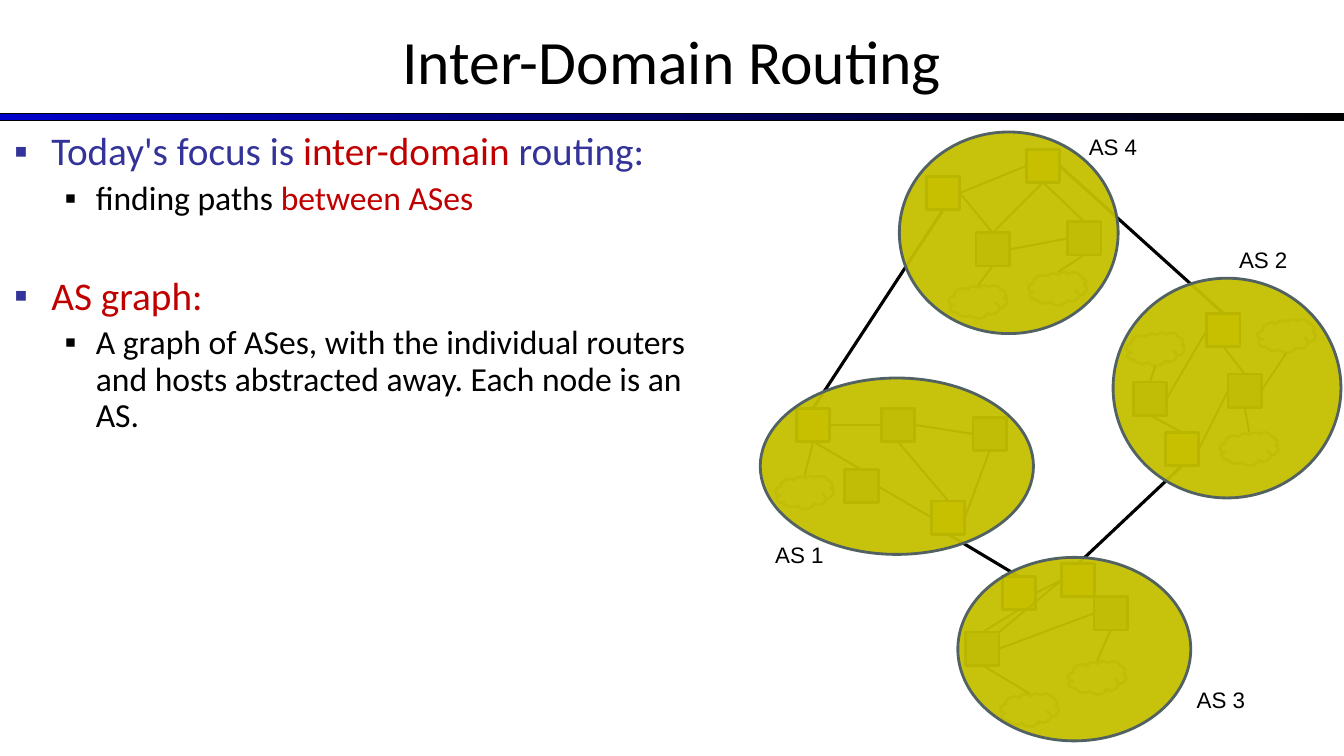
from lxml import etree
from pptx import Presentation
from pptx.dml.color import RGBColor
from pptx.enum.shapes import MSO_CONNECTOR, MSO_SHAPE
from pptx.enum.text import MSO_ANCHOR, MSO_AUTO_SIZE, PP_ALIGN
from pptx.oxml.ns import qn
from pptx.util import Inches, Pt

COLORS = {
    "black": "000000", "bar": "0000CC", "heading": "333399", "accent": "C00000",
    "gateway": "FFC000", "router": "808080", "domain": "C5C000", "edge": "526263",
}
SIZES = {"gateway": (0.33, 0.33), "router": (0.33, 0.33), "cloud": (0.58, 0.33)}
# Fractions of a node's box: top, left, bottom, right, top right corner
TOP, LEFT, BOTTOM, RIGHT, CORNER = range(5)
ANCHORS = [(0.5, 0), (0, 0.5), (0.5, 1), (1, 0.5), (1, 0)]

# Node places are measured from the top left of the domain's box.
DOMAINS = {
    "AS 1": {
        "box": (7.54, 3.75, 2.71, 1.75), "label": (0.05, 1.57),
        "nodes": {"a": ("gateway", 0.36, 0.3), "b": ("router", 1.2, 0.3),
                  "c": ("router", 0.84, 0.91), "d": ("gateway", 1.7, 1.22),
                  "e": ("router", 2.11, 0.39), "x": ("cloud", 0.15, 0.97)},
        "links": [("a", RIGHT, "b", LEFT), ("x", TOP, "a", BOTTOM),
                  ("c", TOP, "a", BOTTOM), ("c", RIGHT, "d", LEFT),
                  ("b", BOTTOM, "d", TOP), ("b", RIGHT, "e", LEFT),
                  ("d", RIGHT, "e", BOTTOM)],
    },
    "AS 2": {
        "box": (11.04, 2.76, 2.26, 2.18), "label": (1.15, -0.37),
        "nodes": {"a": ("gateway", 0.93, 0.35), "b": ("router", 0.2, 1.03),
                  "c": ("router", 1.14, 0.95), "d": ("gateway", 0.52, 1.53),
                  "x": ("cloud", 0.13, 0.54), "y": ("cloud", 1.06, 1.53),
                  "z": ("cloud", 1.43, 0.41)},
        "links": [("b", RIGHT, "a", LEFT), ("x", BOTTOM, "b", TOP),
                  ("a", BOTTOM, "c", TOP), ("c", LEFT, "d", RIGHT),
                  ("z", BOTTOM, "c", RIGHT), ("b", BOTTOM, "d", TOP),
                  ("y", TOP, "c", BOTTOM)],
    },
    "AS 3": {
        "box": (9.5, 5.53, 2.31, 1.82), "label": (2.27, 1.23),
        "nodes": {"a": ("gateway", 0.44, 0.19), "b": ("gateway", 1.03, 0.06),
                  "c": ("router", 0.08, 0.74), "d": ("router", 1.35, 0.39),
                  "x": ("cloud", 1.09, 1.03), "y": ("cloud", 0.42, 1.35)},
        "links": [("c", TOP, "a", BOTTOM), ("y", TOP, "c", BOTTOM),
                  ("d", LEFT, "c", RIGHT), ("d", BOTTOM, "x", TOP),
                  ("d", TOP, "b", BOTTOM), ("b", LEFT, "a", RIGHT),
                  ("b", LEFT, "c", CORNER)],
    },
    "AS 4": {
        "box": (8.92, 1.31, 2.17, 2), "label": (1.78, -0.04),
        "nodes": {"a": ("gateway", 0.27, 0.44), "b": ("gateway", 1.26, 0.17),
                  "c": ("router", 0.76, 1), "d": ("router", 1.67, 0.89),
                  "x": ("cloud", 1.28, 1.39), "y": ("cloud", 0.49, 1.52)},
        "links": [("c", TOP, "a", RIGHT), ("y", TOP, "c", BOTTOM),
                  ("d", LEFT, "c", RIGHT), ("d", BOTTOM, "x", TOP),
                  ("d", TOP, "b", BOTTOM), ("b", LEFT, "a", RIGHT),
                  ("b", BOTTOM, "c", TOP)],
    },
}
PEERINGS = [("AS 3", "a", TOP, "AS 1", "d", BOTTOM),
            ("AS 3", "b", TOP, "AS 2", "d", BOTTOM),
            ("AS 1", "a", TOP, "AS 4", "a", BOTTOM),
            ("AS 4", "b", RIGHT, "AS 2", "a", TOP)]


def rgb(name):
    return RGBColor.from_string(COLORS[name])


def add_run(p, text, size, color="black", font="Calibri"):
    r = p.add_run()
    r.text = text
    r.font.size, r.font.name = Pt(size), font
    r.font.color.rgb = rgb(color)


def place(sp, x, y, w, h):
    sp.left, sp.top, sp.width, sp.height = map(Inches, (x, y, w, h))


def add_shape(slide, kind, box, fill=None, line="black", width=2):
    sp = slide.shapes.add_shape(kind, *map(Inches, box))
    sp.shadow.inherit = False
    if fill:
        sp.fill.solid()
        sp.fill.fore_color.rgb = rgb(fill)
    else:
        sp.fill.background()
    sp.line.color.rgb = rgb(line)
    sp.line.width = Pt(width)
    return sp


def add_link(slide, start, start_side, end, end_side, width=1.5):
    points = []
    for sp, side in ((start, start_side), (end, end_side)):
        fx, fy = ANCHORS[side]
        points += [int(sp.left + fx * sp.width), int(sp.top + fy * sp.height)]
    line = slide.shapes.add_connector(MSO_CONNECTOR.STRAIGHT, *points)
    line.line.color.rgb = rgb("black")
    line.line.width = Pt(width)
    etree.SubElement(line._element.spPr, qn("a:effectLst"))
    for join, sp, side in ((line.begin_connect, start, start_side),
                           (line.end_connect, end, end_side)):
        if sp.auto_shape_type == MSO_SHAPE.RECTANGLE and side != CORNER:
            join(sp, side)


def set_bullet(p, color, margin, hanging):
    pPr = p._p.get_or_add_pPr()
    pPr.set("marL", str(Inches(margin)))
    pPr.set("indent", str(-Inches(hanging)))
    clr = etree.SubElement(pPr, qn("a:buClr"))
    etree.SubElement(clr, qn("a:srgbClr"), val=COLORS[color])
    etree.SubElement(pPr, qn("a:buFont"), typeface="Arial")
    etree.SubElement(pPr, qn("a:buChar"), char="▪")


def add_header(slide, x, y, w, h):
    bar = add_shape(slide, MSO_SHAPE.RECTANGLE, (x, y + 1.16, w, 0.07), width=0.75)
    bar.fill.gradient()
    bar.fill.gradient_angle = 0
    for stop, color, position in zip(bar.fill.gradient_stops, ("bar", "black"), (0, 1)):
        stop.color.rgb = rgb(color)
        stop.position = position
    title = slide.shapes.title
    place(title, x, y, w, h)
    tf = title.text_frame
    tf.auto_size = MSO_AUTO_SIZE.NONE
    tf.vertical_anchor = MSO_ANCHOR.MIDDLE
    tf.paragraphs[0].alignment = PP_ALIGN.CENTER
    add_run(tf.paragraphs[0], "Inter-Domain Routing", 44)


def add_points(slide, x, y, w, h):
    # Level, space before, runs
    points = [
        (0, 0, [("Today's focus is ", "heading"), ("inter-domain", "accent"),
                (" routing:", "heading")]),
        (1, 5, [("finding paths ", "black"), ("between ASes", "accent")]),
        (0, 42, [("AS graph:", "accent")]),
        (1, 5, [("A graph of ASes, with the individual routers and hosts "
                 "abstracted away. Each node is an AS.", "black")]),
    ]
    body = slide.placeholders[1]
    place(body, x, y, w, h)
    tf = body.text_frame
    tf.auto_size = MSO_AUTO_SIZE.NONE
    tf.vertical_anchor = MSO_ANCHOR.TOP
    for i, (level, before, runs) in enumerate(points):
        p = tf.add_paragraph() if i else tf.paragraphs[0]
        p.level = level
        set_bullet(p, *[("heading", 0.37, 0.37), ("black", 0.81, 0.31)][level])
        p.alignment = PP_ALIGN.LEFT
        p.line_spacing, p.space_before, p.space_after = 0.9, Pt(before), Pt(0)
        for text, color in runs:
            add_run(p, text, (28, 24)[level], color)


def add_network(slide, x, y, nodes, links):
    """Draw the nodes and links inside one domain; return the node shapes."""
    shapes = {}
    for name, (kind, dx, dy) in nodes.items():
        box = (x + dx, y + dy, *SIZES[kind])
        if kind == "cloud":
            shapes[name] = add_shape(slide, MSO_SHAPE.CLOUD, box, line="router")
        else:
            shapes[name] = add_shape(slide, MSO_SHAPE.RECTANGLE, box, kind)
    for start, start_side, end, end_side in links:
        add_link(slide, shapes[start], start_side, shapes[end], end_side)
    return shapes


def add_domain_cover(slide, name, box, label):
    sp = add_shape(slide, MSO_SHAPE.OVAL, box, "domain", "edge")
    clr = sp._element.spPr.find(qn("a:solidFill")).find(qn("a:srgbClr"))
    etree.SubElement(clr, qn("a:alpha"), val="95000")
    tb = slide.shapes.add_textbox(Inches(box[0] + label[0]), Inches(box[1] + label[1]),
                                  Inches(0.72), Inches(0.37))
    add_run(tb.text_frame.paragraphs[0], name, 16, font="Arial")


def main():
    prs = Presentation()
    prs.slide_width, prs.slide_height = Inches(13.33), Inches(7.5)
    slide = prs.slides.add_slide(prs.slide_layouts[1])
    add_header(slide, 0, -0.03, 13.33, 1.25)
    add_points(slide, 0.04, 1.26, 7.03, 6.09)
    networks = {name: add_network(slide, *d["box"][:2], d["nodes"], d["links"])
                for name, d in DOMAINS.items()}
    for as1, node1, side1, as2, node2, side2 in PEERINGS:
        add_link(slide, networks[as1][node1], side1, networks[as2][node2], side2, 2.25)
    for name, d in DOMAINS.items():
        add_domain_cover(slide, name, d["box"], d["label"])
    prs.save("out.pptx")


if __name__ == "__main__":
    main()
